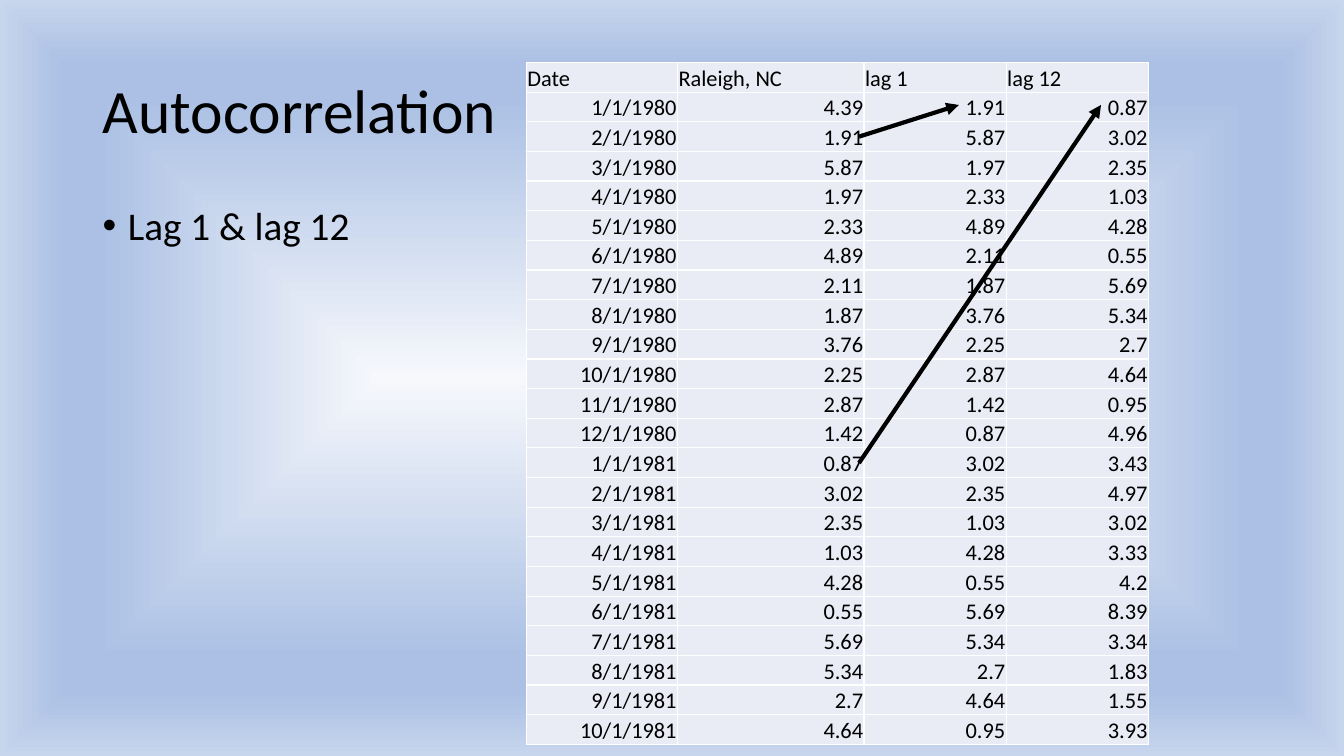
import dataclasses

import pptx
import pptx.dml.color
import pptx.enum.shapes
import pptx.enum.text
import pptx.oxml
import pptx.oxml.ns
import pptx.util

Inches = pptx.util.Inches
Pt = pptx.util.Pt
ALIGN = pptx.enum.text.PP_ALIGN
ANCHOR = pptx.enum.text.MSO_ANCHOR
NAMESPACE = pptx.oxml.ns.nsdecls("a")


@dataclasses.dataclass(frozen=True)
class Theme:
    font: str = "Calibri"
    ink: str = "000000"
    cell: str = "E9EBF5"
    border: str = "FFFFFF"
    background: tuple = ((0, "F6F8FC"), (74, "ABC0E4"), (83, "ABC0E4"), (100, "C7D5ED"))
    title_size: int = 44
    body_size: int = 28
    table_size: int = 16
    border_width: int = 1
    arrow_width: int = 3


THEME = Theme()
HEADINGS = ("Date", "Raleigh, NC", "lag 1", "lag 12")
COLUMN_WIDTHS = (1.5, 1.85, 1.41, 1.41)
LAGS = (0, 1, 12)
MONTH_COUNT = 22
RAINFALL = (
    4.39, 1.91, 5.87, 1.97, 2.33, 4.89, 2.11, 1.87, 3.76, 2.25, 2.87, 1.42,
    0.87, 3.02, 2.35, 1.03, 4.28, 0.55, 5.69, 5.34, 2.7, 4.64, 0.95, 4.96,
    3.43, 4.97, 3.02, 3.33, 4.2, 8.39, 3.34, 1.83, 1.55, 3.93,
)


def color(value):
    return pptx.dml.color.RGBColor.from_string(value)


def set_attributes(target, values):
    for name, value in values.items():
        setattr(target, name, value)


def style_font(font, size):
    set_attributes(font, {"name": THEME.font, "size": Pt(size), "bold": False})
    font.color.rgb = color(THEME.ink)


def paint_background(slide):
    """Fill the slide with a gradient that spreads from its centre."""
    slide.background.fill.gradient()
    gradient = slide.element.find(".//" + pptx.oxml.ns.qn("a:gradFill"))
    stops = "".join(
        f'<a:gs pos="{position * 1000}"><a:srgbClr val="{value}"/></a:gs>'
        for position, value in THEME.background
    )
    centred = pptx.oxml.parse_xml(
        f'<a:gradFill {NAMESPACE} rotWithShape="1"><a:gsLst>{stops}</a:gsLst>'
        '<a:path path="shape"><a:fillToRect l="50000" t="50000" r="50000" b="50000"/>'
        "</a:path></a:gradFill>"
    )
    gradient.getparent().replace(gradient, centred)


def add_text(slide, box, text, size, anchor, bullet=False):
    frame = slide.shapes.add_textbox(*map(Inches, box)).text_frame
    set_attributes(frame, {"word_wrap": True, "vertical_anchor": anchor})
    paragraph = frame.paragraphs[0]
    paragraph.text = text
    paragraph.line_spacing = 0.9
    if bullet:
        properties = paragraph._p.get_or_add_pPr()
        properties.set("marL", str(Inches(0.25)))
        properties.set("indent", str(Inches(-0.25)))
        for element in ('<a:buFont {} typeface="Arial"/>', '<a:buChar {} char="•"/>'):
            properties.append(pptx.oxml.parse_xml(element.format(NAMESPACE)))
    style_font(paragraph.runs[0].font, size)


def fill_cell(cell, text, alignment):
    set_attributes(cell, {
        "text": text,
        "vertical_anchor": ANCHOR.BOTTOM,
        "margin_left": Inches(0.01),
        "margin_right": Inches(0.01),
        "margin_top": Inches(0.01),
        "margin_bottom": 0,
    })
    paragraph = cell.text_frame.paragraphs[0]
    paragraph.alignment = alignment
    style_font(paragraph.runs[0].font, THEME.table_size)
    properties = cell._tc.get_or_add_tcPr()
    for side in ("lnL", "lnR", "lnT", "lnB"):
        properties.append(pptx.oxml.parse_xml(
            f'<a:{side} {NAMESPACE} w="{Pt(THEME.border_width)}"><a:solidFill>'
            f'<a:srgbClr val="{THEME.border}"/></a:solidFill></a:{side}>'
        ))
    cell.fill.solid()
    cell.fill.fore_color.rgb = color(THEME.cell)


def lag_rows():
    """Return the headings, then each month with its value and lagged values."""
    rows = [HEADINGS]
    for month in range(MONTH_COUNT):
        date = f"{month % 12 + 1}/1/{1980 + month // 12}"
        rows.append((date, *(f"{RAINFALL[month + lag]:g}" for lag in LAGS)))
    return rows


def add_arrow(slide, start, end):
    points = map(Inches, (*start, *end))
    arrow = slide.shapes.add_connector(pptx.enum.shapes.MSO_CONNECTOR.STRAIGHT, *points)
    arrow.line.color.rgb = color(THEME.ink)
    arrow.line.width = Pt(THEME.arrow_width)
    arrow.line._get_or_add_ln().append(
        pptx.oxml.parse_xml(f'<a:tailEnd {NAMESPACE} type="triangle"/>'))
    arrow._element.spPr.append(pptx.oxml.parse_xml(f"<a:effectLst {NAMESPACE}/>"))


def add_lag_table(slide, box):
    """Draw the table, and an arrow from each source value to its lagged place."""
    left, top, width, height = box
    rows = lag_rows()
    row_height = height / len(rows)
    table = slide.shapes.add_table(
        len(rows), len(HEADINGS), *map(Inches, box)).table
    set_attributes(table, {"first_row": False, "horz_banding": False})
    for column, column_width in zip(table.columns, COLUMN_WIDTHS):
        column.width = Inches(column_width)
    for row_index, values in enumerate(rows):
        table.rows[row_index].height = Inches(row_height)
        alignment = ALIGN.RIGHT if row_index else ALIGN.LEFT
        for column_index, text in enumerate(values):
            fill_cell(table.cell(row_index, column_index), text, alignment)

    def right_edge(column_index):
        return left + sum(COLUMN_WIDTHS[:column_index + 1])

    def row_middle(row_index):
        return top + (row_index + 0.5) * row_height

    for column_index, lag in enumerate(LAGS[1:], start=2):
        start = (right_edge(1) - 0.05, row_middle(1 + lag))
        end = (right_edge(column_index) - 0.47, row_middle(1) - 0.02)
        add_arrow(slide, start, end)


def main():
    presentation = pptx.Presentation()
    set_attributes(presentation, {
        "slide_width": Inches(13.33), "slide_height": Inches(7.5)})
    slide = presentation.slides.add_slide(presentation.slide_layouts[6])
    paint_background(slide)
    add_text(slide, (0.92, 0.4, 11.5, 1.45), "Autocorrelation",
             THEME.title_size, ANCHOR.MIDDLE)
    add_text(slide, (0.92, 2, 4.93, 4.76), "Lag 1 & lag 12",
             THEME.body_size, ANCHOR.TOP, bullet=True)
    add_lag_table(slide, (5.22, 0.62, sum(COLUMN_WIDTHS), 6.77))
    presentation.save("out.pptx")


if __name__ == "__main__":
    main()
